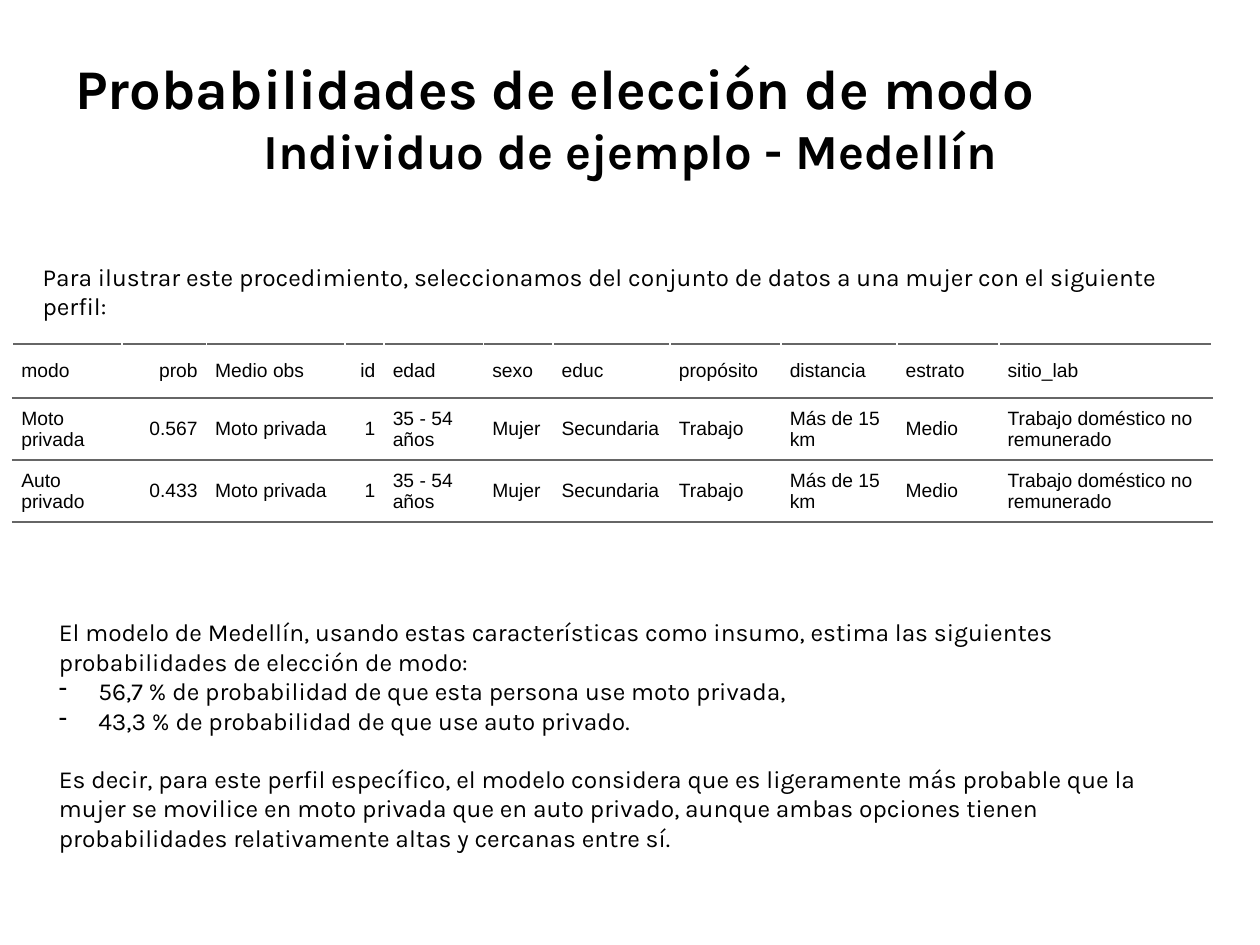
import pptx
import pptx.dml.color
import pptx.enum.text
import pptx.oxml
import pptx.oxml.ns
import pptx.util

Pt = pptx.util.Pt
RGB = pptx.dml.color.RGBColor
ALIGN = pptx.enum.text.PP_ALIGN
ANCHOR = pptx.enum.text.MSO_ANCHOR

BLACK = RGB(0x00, 0x00, 0x00)
GRAY = RGB(0x66, 0x66, 0x66)

# Content
TITLE = [
    ("Probabilidades de elección de modo", 32, ALIGN.LEFT),
    ("Individuo de ejemplo - Medellín", 28, ALIGN.CENTER),
]
INTRO = ("Para ilustrar este procedimiento, seleccionamos del conjunto de datos "
         "a una mujer con el siguiente perfil:")
# Column name, width, right aligned
COLUMNS = [
    ("modo", 62.6, False), ("prob", 48.2, True), ("Medio obs", 79.2, False),
    ("id", 22.3, True), ("edad", 56.9, False), ("sexo", 39.6, False),
    ("educ", 67, False), ("propósito", 63.4, False), ("distancia", 66.2, False),
    ("estrato", 58.3, False), ("sitio_lab", 121.7, False),
]
PROFILE = ["Moto privada", "1", "35 - 54 años", "Mujer", "Secundaria", "Trabajo",
           "Más de 15 km", "Medio", "Trabajo doméstico no remunerado"]
MODES = [("Moto privada", "0.567"), ("Auto privado", "0.433")]
HEIGHTS = [31, 34.3, 34.3]
EDGES = ["TB", "T", "B"]  # ruled sides of each row
# Text, bulleted, space before
RESULT = [
    ("El modelo de Medellín, usando estas características como insumo, estima "
     "las siguientes probabilidades de elección de modo:", False, 0),
    ("56,7 % de probabilidad de que esta persona use moto privada,", True, 0),
    ("43,3 % de probabilidad de que use auto privado.", True, 0),
    ("Es decir, para este perfil específico, el modelo considera que es "
     "ligeramente más probable que la mujer se movilice en moto privada que en "
     "auto privado, aunque ambas opciones tienen probabilidades relativamente "
     "altas y cercanas entre sí.", False, 16.5),
]


def add_run(para, text, size, face="Karla", bold=False):
    run = para.add_run()
    run.text = text
    font = run.font
    font.name, font.size, font.bold = face, Pt(size), bold
    font.color.rgb = BLACK


def add_box(slide, left, top, width, height, anchor=ANCHOR.TOP):
    box = slide.shapes.add_textbox(Pt(left), Pt(top), Pt(width), Pt(height))
    frame = box.text_frame
    frame.word_wrap = True
    frame.vertical_anchor = anchor
    return frame


def next_para(frame, index):
    return frame.paragraphs[0] if index == 0 else frame.add_paragraph()


def add_dash(para):
    props = para._p.get_or_add_pPr()
    props.set("marL", str(Pt(22.5)))
    props.set("indent", str(-Pt(22.5)))
    props.append(pptx.oxml.parse_xml(
        f'<a:buChar {pptx.oxml.ns.nsdecls("a")} char="-"/>'))


def rule_cell(cell, sides):
    props = cell._tc.get_or_add_tcPr()
    for index, side in enumerate(sides):
        props.insert(index, pptx.oxml.parse_xml(
            f'<a:ln{side} {pptx.oxml.ns.nsdecls("a")} w="{Pt(1.5)}"><a:solidFill>'
            f'<a:srgbClr val="{GRAY}"/></a:solidFill></a:ln{side}>'))


def add_grid(slide, left, top):
    rows = [[name for name, _, _ in COLUMNS]]
    rows += [[mode, prob, MODES[0][0]] + PROFILE[1:] for mode, prob in MODES]
    width = sum(col[1] for col in COLUMNS)
    table = slide.shapes.add_table(len(rows), len(COLUMNS), Pt(left), Pt(top),
                                   Pt(width), Pt(sum(HEIGHTS))).table
    table.first_row = table.horz_banding = False
    for column, (_, size, _) in zip(table.columns, COLUMNS):
        column.width = Pt(size)
    for r, texts in enumerate(rows):
        table.rows[r].height = Pt(HEIGHTS[r])
        for c, text in enumerate(texts):
            cell = table.cell(r, c)
            cell.fill.background()
            rule_cell(cell, EDGES[r])
            cell.vertical_anchor = ANCHOR.MIDDLE
            cell.margin_left = cell.margin_right = Pt(5)
            cell.margin_top = cell.margin_bottom = Pt(4.5)
            para = cell.text_frame.paragraphs[0]
            para.alignment = ALIGN.RIGHT if COLUMNS[c][2] else ALIGN.LEFT
            add_run(para, text, 11, "Arial")


def main():
    deck = pptx.Presentation()
    deck.slide_width, deck.slide_height = Pt(720), Pt(540)
    slide = deck.slides.add_slide(deck.slide_layouts[6])

    # Title
    frame = add_box(slide, 36, 21.6, 648, 90, ANCHOR.MIDDLE)
    for index, (text, size, align) in enumerate(TITLE):
        para = next_para(frame, index)
        para.alignment = align
        add_run(para, text, size, bold=True)

    # Profile table
    add_grid(slide, 7.2, 196.5)

    # Estimated probabilities
    frame = add_box(slide, 26.6, 349.2, 666.7, 143.3)
    for index, (text, dashed, gap) in enumerate(RESULT):
        para = next_para(frame, index)
        if dashed:
            add_dash(para)
        if gap:
            para.space_before = Pt(gap)
        add_run(para, text, 14)

    # Introduction
    frame = add_box(slide, 17.3, 146.2, 686.2, 40)
    add_run(frame.paragraphs[0], INTRO, 14)

    deck.save("out.pptx")


if __name__ == "__main__":
    main()
